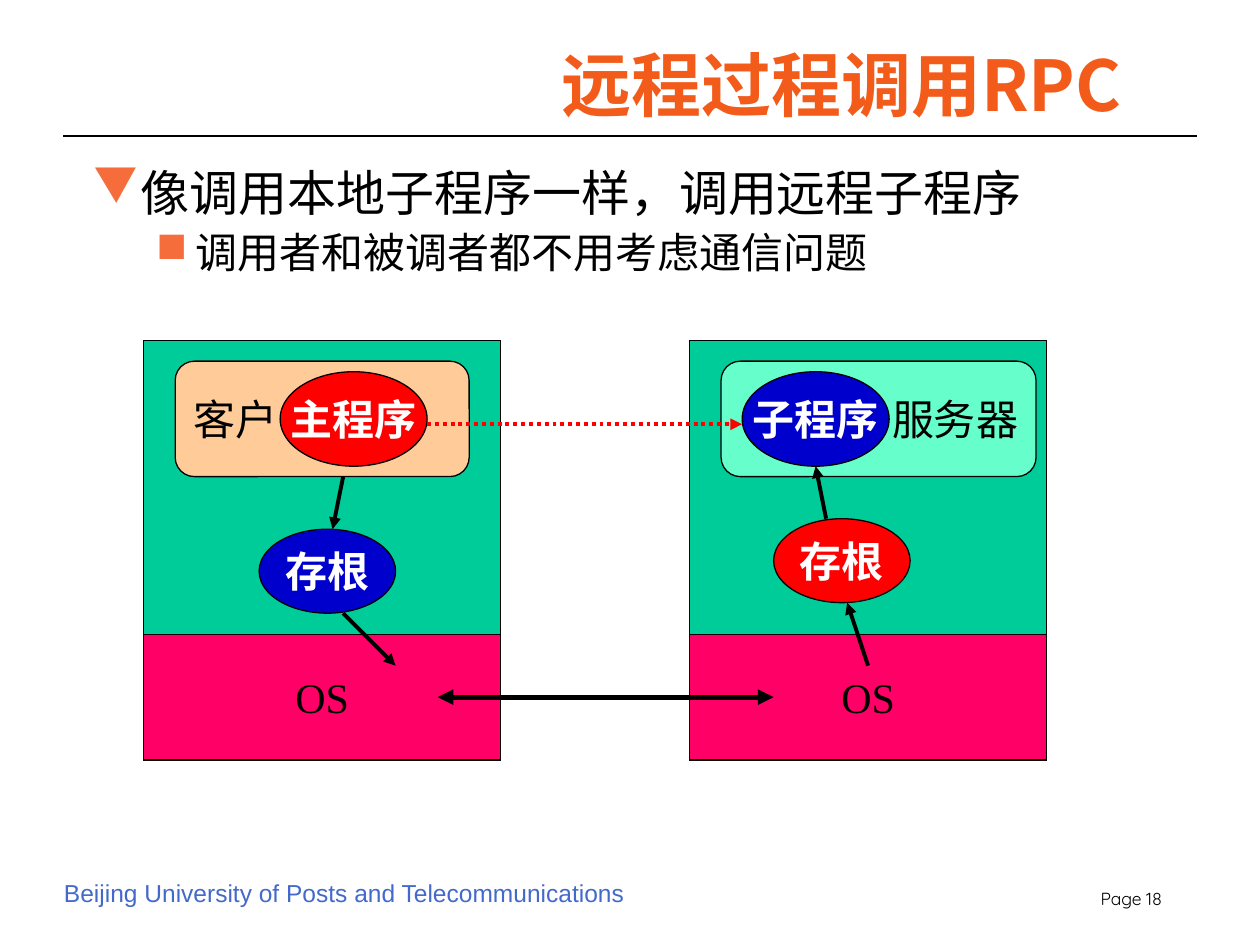
from dataclasses import dataclass

from lxml import etree
from pptx import Presentation
from pptx.dml.color import RGBColor
from pptx.enum.dml import MSO_LINE
from pptx.enum.shapes import MSO_CONNECTOR, MSO_SHAPE
from pptx.enum.text import MSO_ANCHOR, MSO_AUTO_SIZE, PP_ALIGN
from pptx.oxml.ns import qn
from pptx.util import Inches, Pt

RECT, ROUND, OVAL = MSO_SHAPE.RECTANGLE, MSO_SHAPE.ROUNDED_RECTANGLE, MSO_SHAPE.OVAL
STRAIGHT, DOTTED = MSO_CONNECTOR.STRAIGHT, MSO_LINE.ROUND_DOT
LEFT, CENTER, RIGHT = PP_ALIGN.LEFT, PP_ALIGN.CENTER, PP_ALIGN.RIGHT
TOP, MIDDLE = MSO_ANCHOR.TOP, MSO_ANCHOR.MIDDLE
NO_FIT = MSO_AUTO_SIZE.NONE

SERIF, HAN = "Times New Roman", "Noto Sans CJK SC"
BLACK, WHITE, RED, BLUE = "000000", "FFFFFF", "FF0000", "0000CC"
GREEN, PINK, BULLET = "00CC99", "FF0066", "F66D3C"
ORIGIN_X, ORIGIN_Y, CELL = 1.14, 2.70, 1 / 12
SERVER = 52


@dataclass(frozen=True)
class Block:
    col: float
    row: float
    cols: float
    rows: float
    kind: int
    fill: str
    label: str = ""
    color: str = BLACK
    align: int = CENTER


@dataclass(frozen=True)
class Arrow:
    start: tuple[float, float]
    end: tuple[float, float]
    ends: tuple[str, ...] = ("tailEnd",)
    color: str = BLACK
    weight: float = 2.25
    dash: int | None = None


@dataclass(frozen=True)
class Bullet:
    text: str
    size: float
    symbol: str
    margin: float
    hang: float
    spacing: float
    before: float


BLOCKS = [
    block
    for left in (0, SERVER)
    for block in (
        Block(left, 0, 34, 40, RECT, GREEN),
        Block(left, 28, 34, 12, RECT, PINK, "OS"),
    )
] + [
    Block(3, 2, 28, 11, ROUND, "FFCC99", "客户", align=LEFT),
    Block(13, 3, 14, 9, OVAL, RED, "主程序", WHITE),
    Block(11, 18, 13, 8, OVAL, BLUE, "存根", WHITE),
    Block(SERVER + 3, 2, 30, 11, ROUND, "66FFCC", "服务器", align=RIGHT),
    Block(SERVER + 5, 3, 14, 9, OVAL, BLUE, "子程序", WHITE),
    Block(SERVER + 8, 17, 13, 8, OVAL, RED, "存根", WHITE),
]
ARROWS = [
    Arrow((19, 13), (18, 18)),
    Arrow((19, 26), (24, 31)),
    Arrow((65, 17), (64, 12)),
    Arrow((69, 31), (67, 25)),
    Arrow((28, 34), (60, 34), ("headEnd", "tailEnd"), weight=3),
    Arrow((27, 8), (57, 8), color=RED, dash=DOTTED),
]
BULLETS = [
    Bullet("像调用本地子程序一样，调用远程子程序", 28, "▼", 0.38, -0.38, 1.2, 0),
    Bullet("调用者和被调者都不用考虑通信问题", 24, "■", 0.81, -0.31, 0.9, 6),
]


def rgb(value: str) -> RGBColor:
    return RGBColor.from_string(value)


def apply(target, values: dict) -> None:
    for name, value in values.items():
        setattr(target, name, value)


def grid(col: float, row: float) -> tuple[int, int]:
    return Inches(ORIGIN_X + col * CELL), Inches(ORIGIN_Y + row * CELL)


def write(paragraph, text: str, size: float, font: str, color: str,
          bold: bool = False, align: int = LEFT) -> None:
    paragraph.alignment = align
    run = paragraph.add_run()
    run.text = text
    apply(run.font, {"size": Pt(size), "name": font, "bold": bold})
    run.font.color.rgb = rgb(color)
    latin = run.font._element.find(qn("a:latin"))
    east_asian = etree.Element(qn("a:ea"), typeface=HAN)
    latin.addnext(east_asian)


def set_frame(frame, wrap: bool = True, anchor: int = TOP) -> None:
    apply(frame, {
        "auto_size": NO_FIT, "word_wrap": wrap, "vertical_anchor": anchor,
        "margin_left": Inches(0.1), "margin_right": Inches(0.1),
        "margin_top": Inches(0.05), "margin_bottom": Inches(0.05),
    })


def add_text_frame(slide, left: float, top: float, width: float, height: float):
    box = slide.shapes.add_textbox(*map(Inches, (left, top, width, height)))
    set_frame(box.text_frame)
    return box.text_frame


def add_line(slide, start: tuple[int, int], end: tuple[int, int], color: str, weight: float):
    connector = slide.shapes.add_connector(STRAIGHT, *start, *end)
    connector.line.color.rgb = rgb(color)
    connector.line.width = Pt(weight)
    etree.SubElement(connector._element.spPr, qn("a:effectLst"))
    return connector


def draw_block(slide, block: Block) -> None:
    size = Inches(block.cols * CELL), Inches(block.rows * CELL)
    shape = slide.shapes.add_shape(block.kind, *grid(block.col, block.row), *size)
    shape.shadow.inherit = False
    shape.fill.solid()
    shape.fill.fore_color.rgb = rgb(block.fill)
    shape.line.color.rgb = rgb(BLACK)
    shape.line.width = Pt(0.75)
    if block.label:
        set_frame(shape.text_frame, wrap=False, anchor=MIDDLE)
        write(shape.text_frame.paragraphs[0], block.label, 24, SERIF, block.color,
              block.kind == OVAL, block.align)


def draw_arrow(slide, arrow: Arrow) -> None:
    connector = add_line(slide, grid(*arrow.start), grid(*arrow.end), arrow.color, arrow.weight)
    if arrow.dash is not None:
        connector.line.dash_style = arrow.dash
    outline = connector.line._get_or_add_ln()
    for end in arrow.ends:
        etree.SubElement(outline, qn(f"a:{end}"), type="triangle")


def write_bullet(paragraph, bullet: Bullet) -> None:
    properties = paragraph._p.get_or_add_pPr()
    properties.set("marL", str(Inches(bullet.margin)))
    properties.set("indent", str(Inches(bullet.hang)))
    color = etree.SubElement(properties, qn("a:buClr"))
    etree.SubElement(color, qn("a:srgbClr"), val=BULLET)
    etree.SubElement(properties, qn("a:buChar"), char=bullet.symbol)
    apply(paragraph, {"line_spacing": bullet.spacing, "space_before": Pt(bullet.before)})
    write(paragraph, bullet.text, bullet.size, SERIF, BLACK)


def main() -> None:
    deck = Presentation()
    apply(deck, {"slide_width": Inches(10), "slide_height": Inches(7.5)})
    slide = deck.slides.add_slide(deck.slide_layouts[5])

    title = slide.shapes.title
    apply(title, {"left": 0, "top": Inches(0.28), "width": Inches(9), "height": Inches(1.25)})
    set_frame(title.text_frame)
    write(title.text_frame.paragraphs[0], "远程过程调用RPC", 40, HAN, "F35B1B", True, RIGHT)
    add_line(slide, (Inches(0.5), Inches(1.08)), (Inches(9.5), Inches(1.08)), BLACK, 0.75)

    body = add_text_frame(slide, 0.64, 1.15, 9, 1.2)
    for index, bullet in enumerate(BULLETS):
        write_bullet(body.add_paragraph() if index else body.paragraphs[0], bullet)

    for block in BLOCKS:
        draw_block(slide, block)
    for arrow in ARROWS:
        draw_arrow(slide, arrow)

    school = add_text_frame(slide, 0.41, 6.92, 4.67, 0.33)
    school.word_wrap = False
    write(school.paragraphs[0], "Beijing University of Posts and Telecommunications",
          14, "Arial", "436ACB")
    page = add_text_frame(slide, 8.01, 7, 1.31, 0.29)
    write(page.paragraphs[0], "Page 18", 10, "Quicksand", BLACK, align=RIGHT)

    deck.save("out.pptx")


if __name__ == "__main__":
    main()
